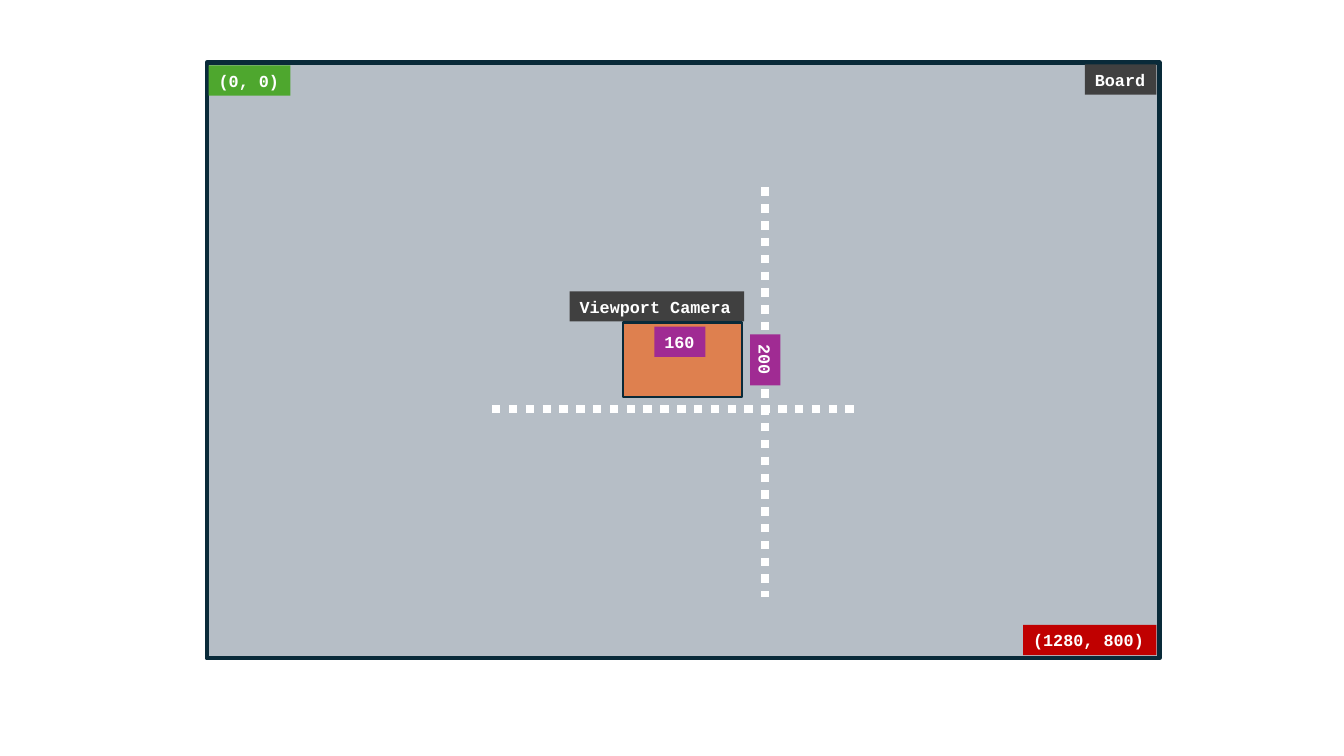
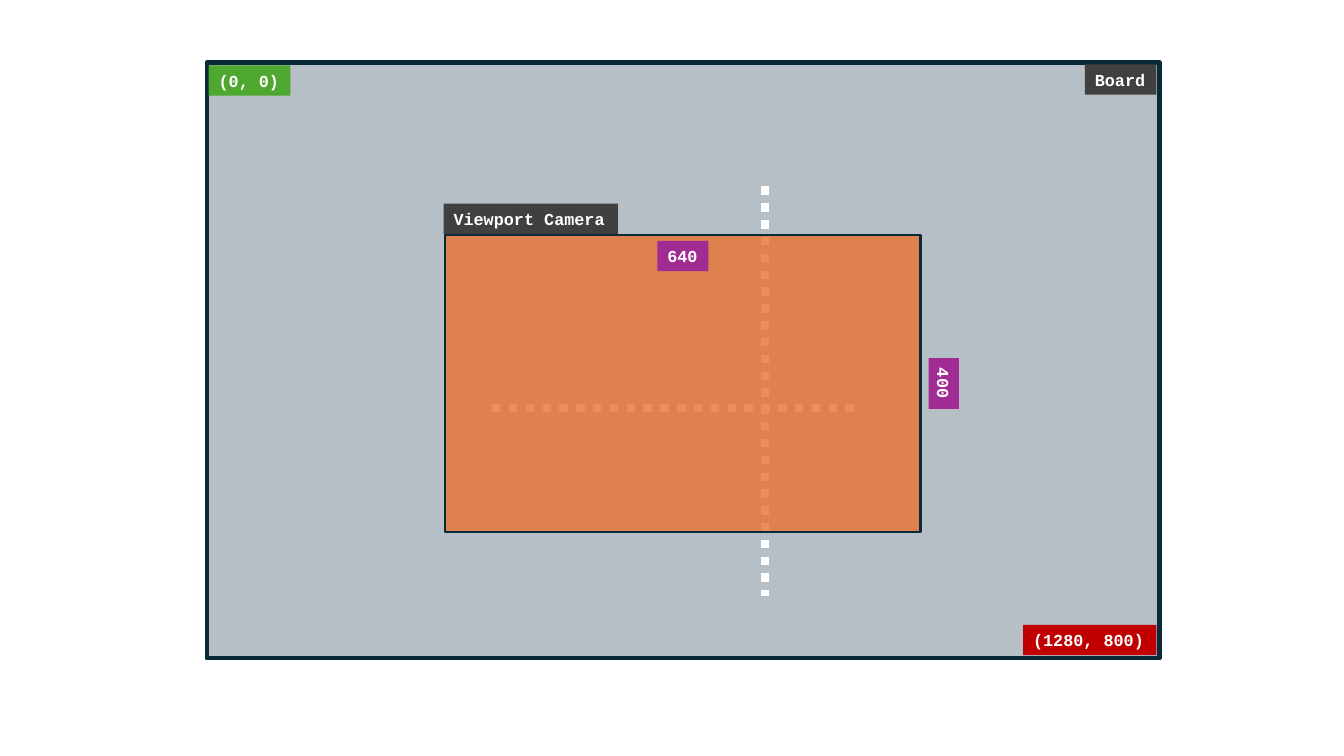
from lxml import etree
from pptx import Presentation
from pptx.dml.color import RGBColor
from pptx.enum.dml import MSO_LINE
from pptx.enum.shapes import MSO_CONNECTOR, MSO_SHAPE
from pptx.enum.text import MSO_AUTO_SIZE
from pptx.oxml.ns import qn
from pptx.util import Inches, Pt

RECTANGLE = MSO_SHAPE.RECTANGLE
STRAIGHT = MSO_CONNECTOR.STRAIGHT
DOTTED = MSO_LINE.ROUND_DOT
GROW = MSO_AUTO_SIZE.SHAPE_TO_FIT_TEXT

COLORS = {
    "board": "B6BEC6",
    "outline": "092A39",
    "start": "4EA72E",
    "end": "C00000",
    "label": "404040",
    "camera": "E97132",
    "size": "A02B93",
    "white": "FFFFFF",
}
FONT = "Courier New"
TAG_HEIGHT = 0.3
BOARD = (2.05, 0.62, 9.45, 5.91)

# Camera box, left of its label, place of its width tag, top of the axes
VIEWS = [
    {"camera": (6.18, 3.2, 1.18, 0.74), "label_left": 5.65,
     "width_tag": (6.49, 3.24), "sizes": ("160", "200"), "axes_top": 1.86},
    {"camera": (4.41, 2.33, 4.72, 2.95), "label_left": 4.4,
     "width_tag": (6.52, 2.39), "sizes": ("640", "400"), "axes_top": 1.85},
]


def color(name):
    return RGBColor.from_string(COLORS[name])


def tag_width(text):
    """Width of a tag: side margins plus fixed-width characters."""
    return 0.2 + 0.51 * len(text) / 5


def add_rectangle(slide, box, fill, line_width, opacity=100):
    shape = slide.shapes.add_shape(RECTANGLE, *map(Inches, box))
    shape.shadow.inherit = False
    shape.fill.solid()
    shape.fill.fore_color.rgb = color(fill)
    shape.line.color.rgb = color("outline")
    shape.line.width = Pt(line_width)
    if opacity < 100:
        fill_color = shape.fill._xPr.find(qn("a:solidFill"))[0]
        etree.SubElement(fill_color, qn("a:alpha")).set("val", str(opacity * 1000))
    return shape


def add_tag(slide, left, top, text, fill, rotation=0):
    tag = slide.shapes.add_textbox(
        Inches(left), Inches(top), Inches(tag_width(text)), Inches(TAG_HEIGHT))
    tag.rotation = rotation
    tag.fill.solid()
    tag.fill.fore_color.rgb = color(fill)
    frame = tag.text_frame
    frame.text = text
    frame.word_wrap = False
    frame.auto_size = GROW
    font = frame.paragraphs[0].runs[0].font
    font.name = FONT
    font.size = Pt(12)
    font.bold = True
    font.color.rgb = color("white")


def add_dotted_line(slide, start, end):
    line = slide.shapes.add_connector(STRAIGHT, *map(Inches, start + end))
    line.line.color.rgb = color("white")
    line.line.width = Pt(6)
    line.line.dash_style = DOTTED
    etree.SubElement(line._element.spPr, qn("a:effectLst"))


def draw_board(slide, box):
    """Board with its name and its corner coordinates."""
    left, top, width, height = box
    right, bottom = left + width - 0.03, top + height - 0.03
    add_rectangle(slide, box, "board", 3)
    add_tag(slide, left + 0.02, top + 0.03, "(0, 0)", "start")
    end, name = "(1280, 800)", "Board"
    add_tag(slide, right - tag_width(end), bottom - TAG_HEIGHT, end, "end")
    add_tag(slide, right - tag_width(name), top + 0.02, name, "label")


def draw_axes(slide, top):
    """Dotted vertical and horizontal lines."""
    middle = top + 2.2
    add_dotted_line(slide, (7.59, top), (7.59, top + 4.06))
    add_dotted_line(slide, (4.88, middle), (8.51, middle))


def draw_camera(slide, box, label_left, width_tag, sizes):
    """Translucent camera with its name, width and height."""
    left, top, width, height = box
    width_text, height_text = sizes
    add_tag(slide, label_left, top - 0.31, "Viewport Camera", "label")
    add_rectangle(slide, box, "camera", 1.5, opacity=80)
    add_tag(slide, *width_tag, width_text, "size")
    # The height tag turns about its centre, just right of the camera
    add_tag(slide, left + width + 0.23 - tag_width(height_text) / 2,
            top + (height - TAG_HEIGHT) / 2, height_text, "size", rotation=90)


def main():
    presentation = Presentation()
    presentation.slide_width = Inches(13.33)
    presentation.slide_height = Inches(7.5)
    blank = presentation.slide_layouts[6]
    for view in VIEWS:
        slide = presentation.slides.add_slide(blank)
        draw_board(slide, BOARD)
        draw_axes(slide, view["axes_top"])
        draw_camera(slide, view["camera"], view["label_left"],
                    view["width_tag"], view["sizes"])
    presentation.save("out.pptx")


if __name__ == "__main__":
    main()
